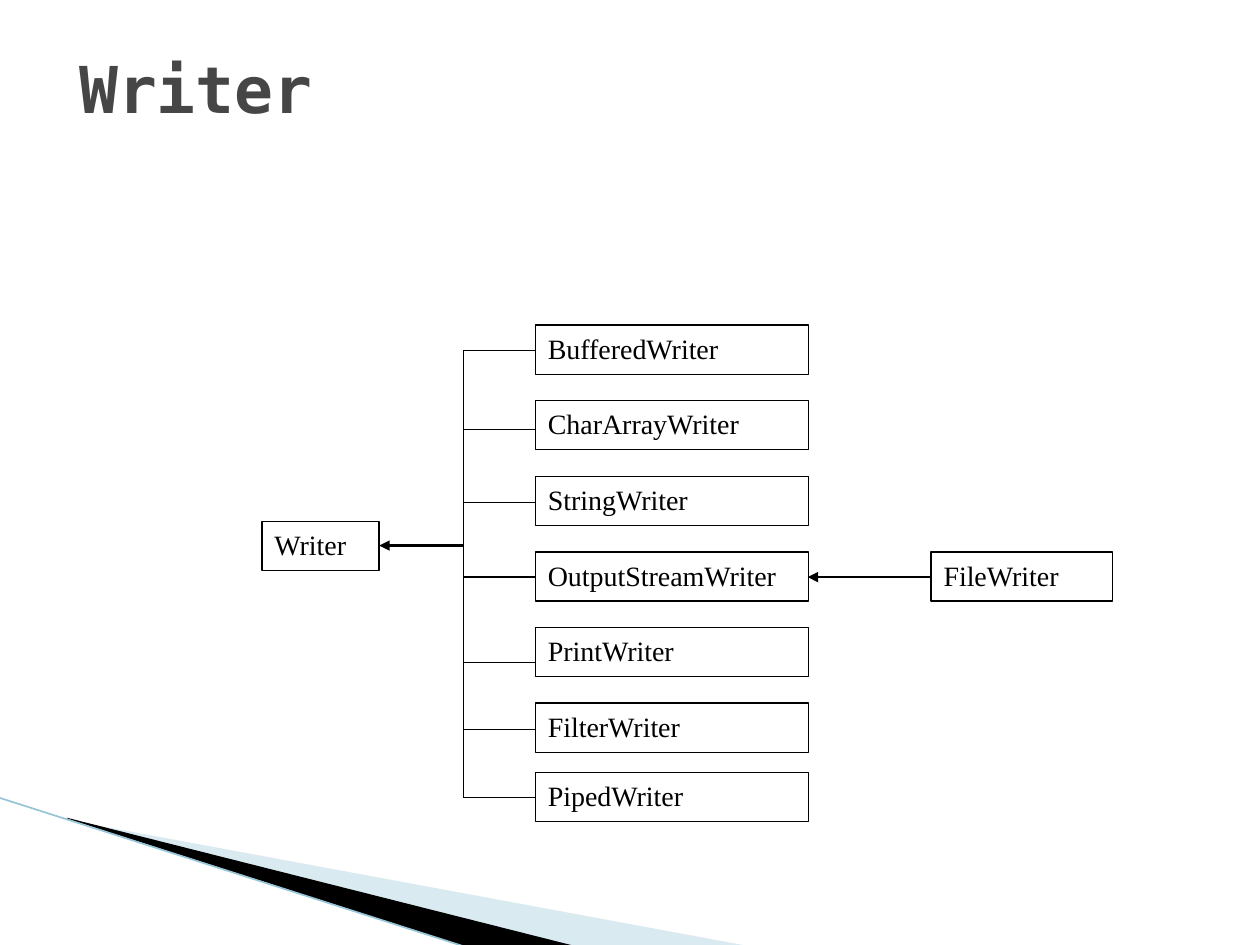
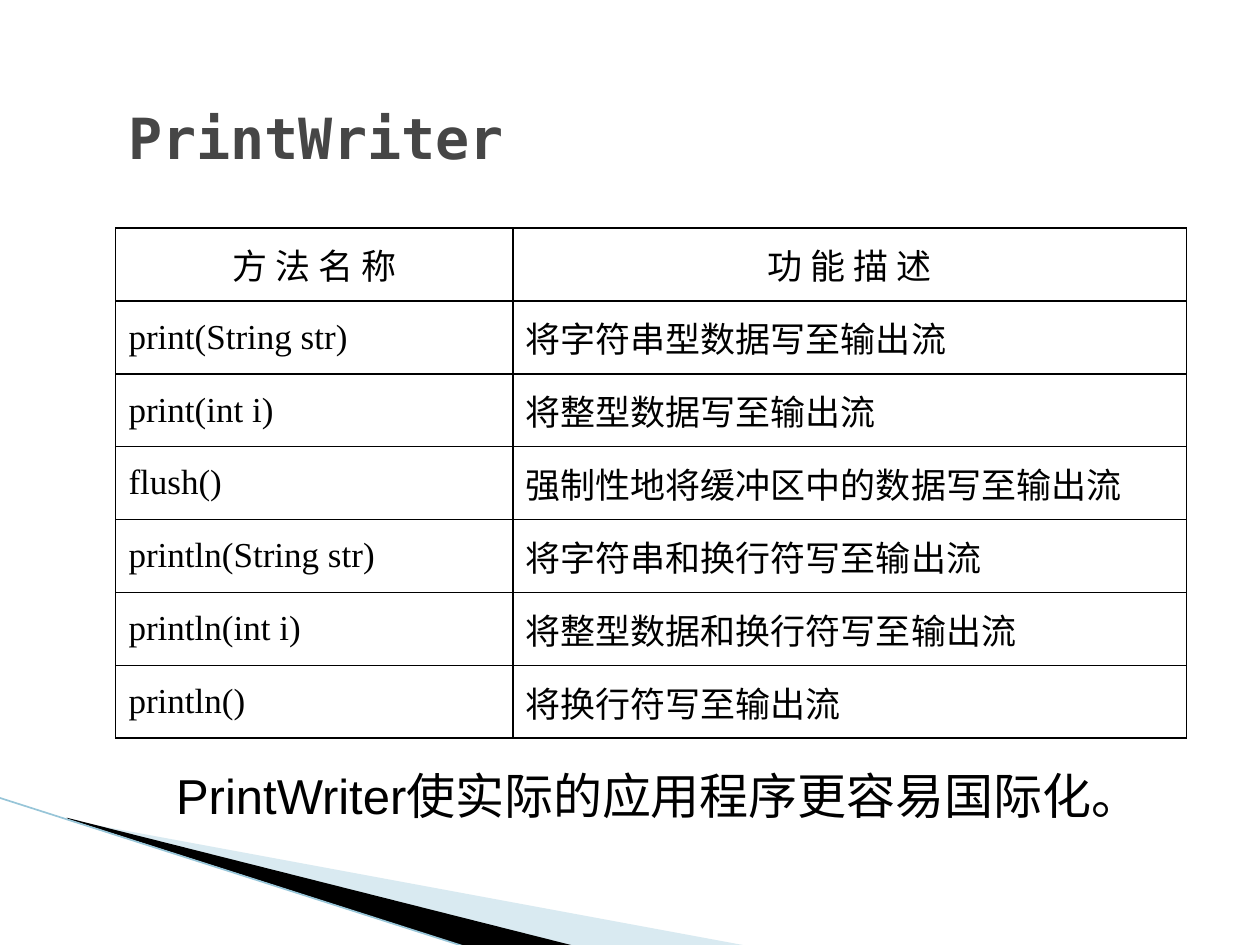
from dataclasses import dataclass

from lxml.etree import SubElement
from pptx import Presentation
from pptx.dml.color import RGBColor
from pptx.enum.shapes import MSO_CONNECTOR, MSO_SHAPE
from pptx.enum.text import MSO_ANCHOR as Anchor, PP_ALIGN as Align
from pptx.oxml import parse_xml
from pptx.oxml.ns import nsdecls, qn
from pptx.slide import Slide
from pptx.util import Inches, Pt

# Shared look
BLACK, TITLE_GREY = "000000", "464646"
PALE_BLUE, EDGE_BLUE = "A0CBDC", "97C5D8"
MONO, SERIF, SANS, CHINESE = (
    "DejaVu Sans Mono", "Times New Roman", "Arial", "Noto Sans CJK SC")


@dataclass
class Style:
    font: str
    size: float
    color: str = BLACK
    bold: bool = False


@dataclass
class Box:
    left: float
    top: float
    width: float
    height: float

    def lengths(self) -> tuple:
        return tuple(map(Inches, (self.left, self.top, self.width, self.height)))


@dataclass
class ClassNode:
    name: str
    top: float
    branch_y: float


CLASS_STYLE = Style(SERIF, 16)


def rgb(color: str) -> RGBColor:
    return RGBColor.from_string(color)


def add_run(paragraph, text: str, style: Style) -> None:
    run = paragraph.add_run()
    run.text = text
    font = run.font
    font.name, font.size, font.bold = style.font, Pt(style.size), style.bold
    font.color.rgb = rgb(style.color)
    SubElement(run._r.get_or_add_rPr(), qn("a:ea"), typeface=CHINESE)


def add_text(slide: Slide, box: Box, text: str, style: Style, anchor=Anchor.TOP):
    frame = slide.shapes.add_textbox(*box.lengths()).text_frame
    frame.word_wrap = True
    frame.vertical_anchor = anchor
    paragraph = frame.paragraphs[0]
    add_run(paragraph, text, style)
    return paragraph


def add_line(slide: Slide, start: tuple, end: tuple, width: float,
             color: str = BLACK, arrow: bool = False) -> None:
    line = slide.shapes.add_connector(
        MSO_CONNECTOR.STRAIGHT, *map(Inches, start + end))
    line.line.color.rgb = rgb(color)
    line.line.width = Pt(width)
    if arrow:
        SubElement(line.line._get_or_add_ln(), qn("a:tailEnd"), type="triangle")
    SubElement(line._element.spPr, qn("a:effectLst"))


def add_wedge(slide: Slide, points: list, color: str, opacity: int = 100) -> None:
    corners = [(Inches(x), Inches(y)) for x, y in points]
    builder = slide.shapes.build_freeform(*corners[0])
    builder.add_line_segments(corners[1:], close=True)
    wedge = builder.convert_to_shape()
    wedge.shadow.inherit = False
    wedge.fill.solid()
    wedge.fill.fore_color.rgb = rgb(color)
    wedge.line.fill.background()
    if opacity < 100:
        tint = wedge._element.spPr.find(qn("a:solidFill"))[0]
        SubElement(tint, qn("a:alpha"), val=str(opacity * 1000))


def add_slide(deck, title: str, title_box: Box, title_size: float) -> Slide:
    slide = deck.slides.add_slide(deck.slide_layouts[6])
    slide.background.fill.solid()
    slide.background.fill.fore_color.rgb = rgb("FFFFFF")
    # Corner swoosh
    add_wedge(slide, [(0.55, 6.51), (5.95, 7.51), (4.56, 7.51), (0.55, 6.5)],
              PALE_BLUE, 40)
    add_wedge(slide, [(0.53, 6.49), (4.57, 7.51), (3.72, 7.52), (0.54, 6.5)],
              BLACK)
    add_line(slide, (-0.01, 6.33), (3.71, 7.52), 0.95, EDGE_BLUE)
    add_text(slide, title_box, title,
             Style(MONO, title_size, TITLE_GREY, True), Anchor.MIDDLE)
    return slide


def add_class_box(slide: Slide, name: str, box: Box) -> None:
    node = slide.shapes.add_shape(MSO_SHAPE.RECTANGLE, *box.lengths())
    node.shadow.inherit = False
    node.fill.background()
    node.line.color.rgb = rgb(BLACK)
    node.line.width = Pt(0.75)
    node.text_frame.vertical_anchor = Anchor.TOP
    paragraph = node.text_frame.paragraphs[0]
    paragraph.alignment = Align.LEFT
    add_run(paragraph, name, CLASS_STYLE)


def set_borders(cell, left: float, right: float) -> None:
    properties = cell._tc.get_or_add_tcPr()
    widths = {"lnL": left, "lnR": right, "lnT": 1, "lnB": 1}
    for position, (side, width) in enumerate(widths.items()):
        properties.insert(position, parse_xml(
            f'<a:{side} {nsdecls("a")} w="{Pt(width)}"><a:solidFill>'
            f'<a:srgbClr val="{BLACK}"/></a:solidFill></a:{side}>'))


deck = Presentation()
deck.slide_width, deck.slide_height = Inches(10), Inches(7.5)

# Slide 1: class hierarchy
hierarchy = add_slide(deck, "Writer", Box(0.53, 0.35, 9, 0.69), 36.9)
BOX_HEIGHT, FIRST_TOP, STEP = 0.39, 2.58, 0.6
SUBCLASS_LEFT, SUBCLASS_WIDTH, TRUNK_X = 4.25, 2.17, 3.68
branches = [("BufferedWriter", 2.78), ("CharArrayWriter", 3.41),
            ("StringWriter", 3.99), ("OutputStreamWriter", 4.58),
            ("PrintWriter", 5.26), ("FilterWriter", 5.79)]
subclasses = [ClassNode(name, FIRST_TOP + STEP * i, y)
              for i, (name, y) in enumerate(branches)]
subclasses.append(ClassNode("PipedWriter", 6.13, 6.33))

add_class_box(hierarchy, "Writer", Box(2.08, 4.14, 0.93, BOX_HEIGHT))
add_class_box(hierarchy, "FileWriter", Box(7.39, 4.38, 1.44, BOX_HEIGHT))
for node in subclasses:
    add_class_box(hierarchy, node.name,
                  Box(SUBCLASS_LEFT, node.top, SUBCLASS_WIDTH, BOX_HEIGHT))
    add_line(hierarchy, (TRUNK_X, node.branch_y),
             (SUBCLASS_LEFT, node.branch_y), 0.75)
add_line(hierarchy, (TRUNK_X, subclasses[0].branch_y),
         (TRUNK_X, subclasses[-1].branch_y), 0.75)
add_line(hierarchy, (TRUNK_X, 4.33), (3.01, 4.33), 1.5, arrow=True)
add_line(hierarchy, (7.39, 4.58), (6.41, 4.58), 1.25, arrow=True)

# Slide 2: method table
methods = add_slide(deck, "PrintWriter", Box(0.92, 0.74, 8.52, 0.7), 32.4)
method_rows = [
    ("方 法 名 称", "功 能 描 述"),
    ("print(String str)", "将字符串型数据写至输出流"),
    ("print(int i)", "将整型数据写至输出流"),
    ("flush()", "强制性地将缓冲区中的数据写至输出流"),
    ("println(String str)", "将字符串和换行符写至输出流"),
    ("println(int i)", "将整型数据和换行符写至输出流"),
    ("println()", "将换行符写至输出流"),
]
table = methods.shapes.add_table(
    len(method_rows), 2, *Box(0.92, 1.81, 8.5, 4.05).lengths()).table
table.first_row = table.horz_banding = False
for column, width in zip(table.columns, (3.15, 5.35)):
    column.width = Inches(width)
for r, row in enumerate(method_rows):
    for c, text in enumerate(row):
        cell = table.cell(r, c)
        cell.fill.background()
        cell.vertical_anchor = Anchor.MIDDLE
        set_borders(cell, *((0.75, 1) if c == 0 else (1, 0.75)))
        paragraph = cell.text_frame.paragraphs[0]
        paragraph.alignment = Align.CENTER if r == 0 else Align.LEFT
        add_run(paragraph, text, Style(SERIF if r and c == 0 else CHINESE, 20))

# Closing remark
remark = add_text(methods, Box(0.62, 6.03, 8.9, 0.65),
                  "PrintWriter使实际的应用程序更容易国际化。", Style(SANS, 28))
remark.space_before = Pt(5.6)
remark._p.get_or_add_pPr().set("indent", str(Inches(0.68)))

deck.save("out.pptx")
